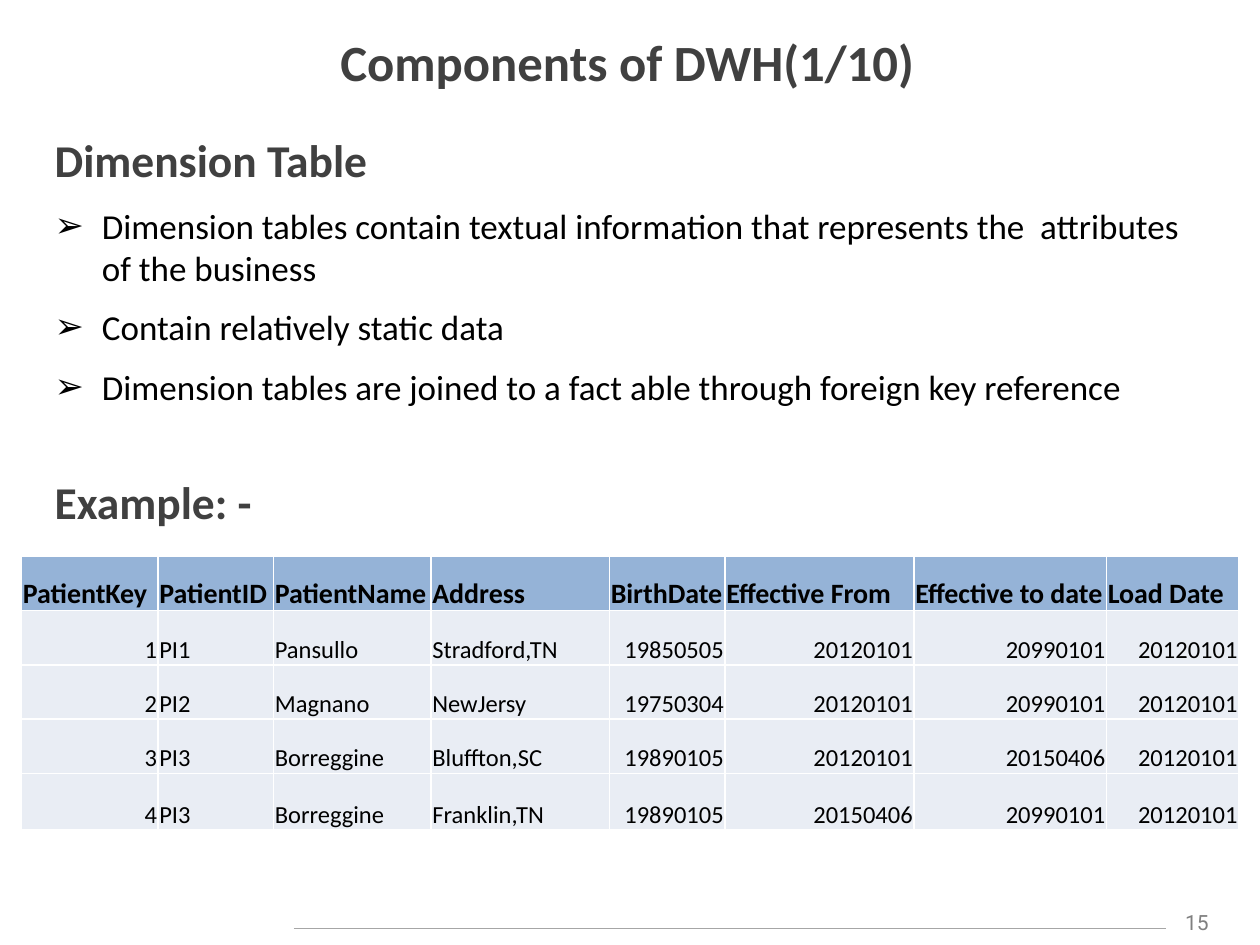
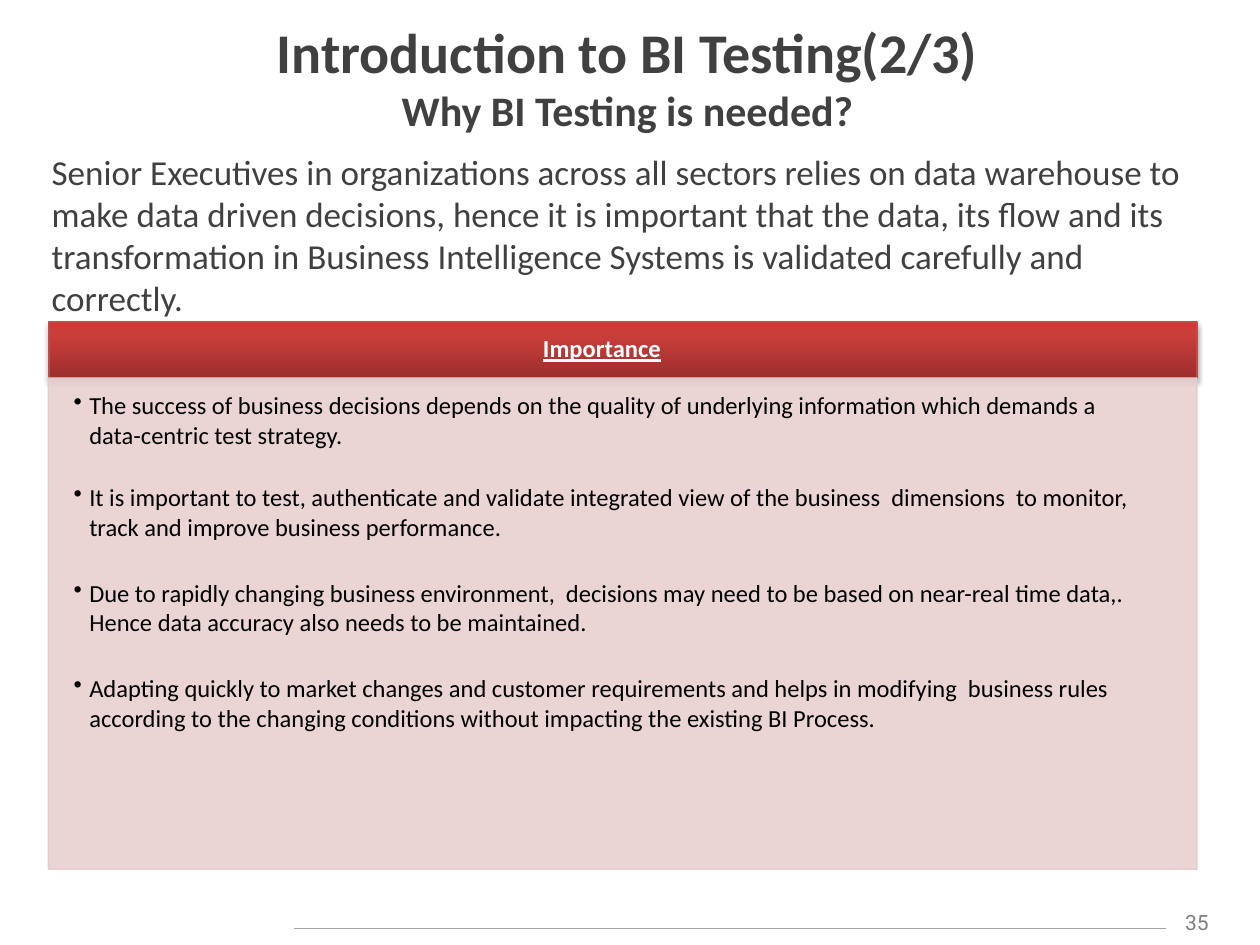
from dataclasses import dataclass

import lxml.etree
import pptx
import pptx.dml.color
import pptx.enum.shapes
import pptx.enum.text
import pptx.oxml.ns
import pptx.util

Pt = pptx.util.Pt
qn = pptx.oxml.ns.qn
ALIGN = pptx.enum.text.PP_ALIGN
ANCHOR = pptx.enum.text.MSO_ANCHOR


@dataclass(frozen=True)
class Theme:
    font: str = "Calibri"
    number_font: str = "Roboto"
    heading: str = "404040"
    text: str = "000000"
    white: str = "FFFFFF"
    page_number: str = "808080"
    rule: str = "A6A6A6"
    table_head: str = "95B3D7"
    table_body: str = "E9EDF4"
    band_stops: tuple = ((0, "9C2F2D"), (80, "CB3E3A"), (100, "CE3B37"))
    band_line: str = "BF4C48"
    panel: str = "E8D0D0"
    panel_line: str = "E3CBCB"
    title_size: int = 29
    big_title_size: int = 32
    subtitle_size: int = 24
    heading_size: int = 26
    body_size: int = 20
    column_size: int = 16
    small_size: int = 14
    number_size: int = 12


def rgb(value):
    return pptx.dml.color.RGBColor.from_string(value)


def add_xml(parent, tag, **attributes):
    values = {name: str(value) for name, value in attributes.items()}
    return lxml.etree.SubElement(parent, qn(tag), values)


def add_alpha(parent, percent):
    add_xml(parent, "a:alpha", val=percent * 1000)


class Deck:
    """Holds the theme and the current slide."""

    def __init__(self, theme):
        self.theme = theme
        self.presentation = pptx.Presentation()
        self.presentation.slide_width = Pt(720)
        self.presentation.slide_height = Pt(540)
        self.slide = None

    def new_slide(self, number):
        layout = self.presentation.slide_layouts[1]
        self.slide = self.presentation.slides.add_slide(layout)
        self.footer(number)

    def style(self, paragraph, size, color, bold=False, align=ALIGN.LEFT,
              before=0, after=0, font=None):
        paragraph.alignment = align
        paragraph.space_before = Pt(before)
        paragraph.space_after = Pt(after)
        paragraph.font.name = font or self.theme.font
        paragraph.font.size = Pt(size) if size else None
        paragraph.font.bold = bold
        paragraph.font.color.rgb = rgb(color)

    def bullet(self, paragraph, char=None, indent=0):
        properties = paragraph._p.get_or_add_pPr()
        properties.set("marL", str(Pt(indent)))
        properties.set("indent", str(-Pt(indent)))
        if char:
            add_xml(properties, "a:buChar", char=char)
        else:
            add_xml(properties, "a:buNone")

    def frame(self, shape, box, anchor=ANCHOR.TOP, insets=(7.2, 3.6, 7.2, 3.6)):
        shape.left, shape.top, shape.width, shape.height = map(Pt, box)
        frame = shape.text_frame
        frame.word_wrap = True
        frame.auto_size = pptx.enum.text.MSO_AUTO_SIZE.NONE
        frame.vertical_anchor = anchor
        (frame.margin_left, frame.margin_top,
         frame.margin_right, frame.margin_bottom) = map(Pt, insets)
        return frame

    def text_box(self, box, **options):
        return self.frame(self.slide.shapes.add_textbox(*map(Pt, box)), box, **options)

    def paragraphs(self, frame, texts):
        for index, text in enumerate(texts):
            paragraph = frame.add_paragraph() if index else frame.paragraphs[0]
            paragraph.text = text
            yield paragraph

    def footer(self, number):
        rule = self.slide.shapes.add_connector(
            pptx.enum.shapes.MSO_CONNECTOR.STRAIGHT,
            Pt(168), Pt(530.6), Pt(666), Pt(530.6))
        rule.line.color.rgb = rgb(self.theme.rule)
        rule.line.width = Pt(0.75)
        add_xml(rule._element.spPr, "a:effectLst")
        frame = self.text_box((666, 516, 36, 22))
        frame.text = str(number)
        self.style(frame.paragraphs[0], self.theme.number_size, self.theme.page_number,
                   align=ALIGN.CENTER, font=self.theme.number_font)

    def title(self, top, *lines):
        """Each line is a (text, size) pair."""
        frame = self.frame(self.slide.shapes.title, (21.6, top, 674, 45.4), ANCHOR.MIDDLE)
        paragraph = frame.paragraphs[0]
        self.style(paragraph, None, self.theme.heading, True, ALIGN.CENTER)
        for index, (text, size) in enumerate(lines):
            if index:
                paragraph.add_line_break()
            run = paragraph.add_run()
            run.text = text
            run.font.size = Pt(size)

    def body(self, box):
        return self.frame(self.slide.placeholders[1], box)

    def rectangle(self, box, line_color):
        shape = self.slide.shapes.add_shape(
            pptx.enum.shapes.MSO_SHAPE.RECTANGLE, *map(Pt, box))
        shape.shadow.inherit = False
        shape.line.color.rgb = rgb(line_color)
        shape.line.width = Pt(0.75)
        return shape

    def gradient_band(self, box):
        band = self.rectangle(box, self.theme.band_line)
        band.fill.gradient()
        gradient = band._element.spPr.find(qn("a:gradFill"))
        gradient.find(qn("a:lin")).set("ang", str(270 * 60000))
        stops = gradient.find(qn("a:gsLst"))
        for stop in list(stops):
            stops.remove(stop)
        for position, color in self.theme.band_stops:
            stop = add_xml(stops, "a:gs", pos=position * 1000)
            add_xml(stop, "a:srgbClr", val=color)
        effects = band._element.spPr.find(qn("a:effectLst"))
        shadow = add_xml(effects, "a:outerShdw", blurRad=Pt(3.1), dist=Pt(1.8),
                         dir=90 * 60000, rotWithShape=0)
        add_alpha(add_xml(shadow, "a:srgbClr", val=self.theme.text), 35)

    def panel(self, box):
        panel = self.rectangle(box, self.theme.panel_line)
        panel.fill.solid()
        panel.fill.fore_color.rgb = rgb(self.theme.panel)
        for color in panel._element.spPr.iter(qn("a:srgbClr")):
            add_alpha(color, 90)

    def cell(self, cell, text, is_head):
        theme = self.theme
        properties = cell._tc.get_or_add_tcPr()
        for side in "LRTB":
            border = add_xml(properties, f"a:ln{side}", w=Pt(1))
            add_xml(add_xml(border, "a:solidFill"), "a:srgbClr", val=theme.white)
        cell.fill.solid()
        cell.fill.fore_color.rgb = rgb(theme.table_head if is_head else theme.table_body)
        cell.margin_left = cell.margin_right = cell.margin_top = Pt(0.7)
        cell.margin_bottom = 0
        cell.vertical_anchor = ANCHOR.BOTTOM
        cell.text = text
        self.style(cell.text_frame.paragraphs[0],
                   theme.column_size if is_head else theme.small_size,
                   theme.text, bold=is_head,
                   align=ALIGN.RIGHT if text.isdigit() else ALIGN.LEFT)

    def table(self, left, top, widths, heights, rows):
        table = self.slide.shapes.add_table(
            len(rows), len(widths), Pt(left), Pt(top),
            Pt(sum(widths)), Pt(sum(heights))).table
        table.first_row = table.horz_banding = False
        for column, width in zip(table.columns, widths):
            column.width = Pt(width)
        for index, (row, height, values) in enumerate(zip(table.rows, heights, rows)):
            row.height = Pt(height)
            for cell, value in zip(row.cells, values):
                self.cell(cell, value, is_head=index == 0)


DIMENSION_POINTS = [
    "Dimension tables contain textual information that represents the  attributes of the business",
    "Contain relatively static data",
    "Dimension tables are joined to a fact able through foreign key reference",
]
PATIENTS = [
    ("PatientKey", "PatientID", "PatientName", "Address", "BirthDate",
     "Effective From", "Effective to date", "Load Date"),
    ("1", "PI1", "Pansullo", "Stradford,TN", "19850505", "20120101", "20990101", "20120101"),
    ("2", "PI2", "Magnano", "NewJersy", "19750304", "20120101", "20990101", "20120101"),
    ("3", "PI3", "Borreggine", "Bluffton,SC", "19890105", "20120101", "20150406", "20120101"),
    ("4", "PI3", "Borreggine", "Franklin,TN", "19890105", "20150406", "20990101", "20120101"),
]
WHY_TEST = (
    "Senior Executives in organizations across all sectors relies on data warehouse to make "
    "data driven decisions, hence it is important that the data, its flow and its "
    "transformation in Business Intelligence Systems is validated carefully and correctly."
)
# Each reason with the space after it
REASONS = {
    "The success of business decisions depends on the quality of underlying information "
    "which demands a data-centric test strategy.": 19,
    "It is important to test, authenticate and validate integrated view of the business  "
    "dimensions  to monitor, track and improve business performance.": 21,
    "Due to rapidly changing business environment,  decisions may need to be based on "
    "near-real time data,. Hence data accuracy also needs to be maintained.": 21,
    "Adapting quickly to market changes and customer requirements and helps in modifying  "
    "business rules according to the changing conditions without impacting the existing "
    "BI Process.": 0,
}


def dimension_table_slide(deck):
    theme = deck.theme
    deck.new_slide(15)
    deck.title(12.2, ("Components of DWH(1/10)", theme.title_size))

    # Headings around the list
    body = deck.body((24, 72, 672, 246))
    texts = ["Dimension Table", *DIMENSION_POINTS, "Example: -"]
    for paragraph in deck.paragraphs(body, texts):
        if paragraph.text in DIMENSION_POINTS:
            deck.bullet(paragraph, "➢", 27)
            deck.style(paragraph, theme.body_size, theme.text, before=10)
        else:
            deck.bullet(paragraph)
            deck.style(paragraph, theme.heading_size, theme.heading, bold=True,
                       before=0 if paragraph.text == texts[0] else 38)

    # Patient records
    deck.table(12.4, 318, (78, 66, 90, 102, 66, 108, 110, 75.6),
               (31, 31, 31, 31, 32.4), PATIENTS)


def why_testing_slide(deck):
    theme = deck.theme
    deck.new_slide(35)
    deck.title(20.9, ("Introduction to BI Testing(2/3)", theme.big_title_size),
               ("Why BI Testing is needed?", theme.subtitle_size))
    body = deck.body((22.3, 82.4, 672, 98))
    for paragraph in deck.paragraphs(body, [WHY_TEST]):
        deck.bullet(paragraph)
        deck.style(paragraph, theme.body_size, theme.heading)

    # Importance band
    deck.gradient_band((28, 184, 656, 32))
    importance = deck.text_box((16, 184, 656, 32), anchor=ANCHOR.MIDDLE,
                               insets=(8, 4, 8, 4))
    for paragraph in deck.paragraphs(importance, ["Importance"]):
        deck.style(paragraph, theme.small_size, theme.white, True, ALIGN.CENTER)
        paragraph.line_spacing = 0.9
        paragraph.font.underline = True

    # Reasons panel
    deck.panel((27.6, 216, 656.4, 280.8))
    reasons = deck.text_box((36, 217, 630, 280), insets=(6, 6, 8, 8))
    for paragraph in deck.paragraphs(reasons, REASONS):
        deck.bullet(paragraph, "•", 9)
        deck.style(paragraph, theme.small_size, theme.text, after=REASONS[paragraph.text])


def main():
    deck = Deck(Theme())
    dimension_table_slide(deck)
    why_testing_slide(deck)
    deck.presentation.save("out.pptx")


if __name__ == "__main__":
    main()
